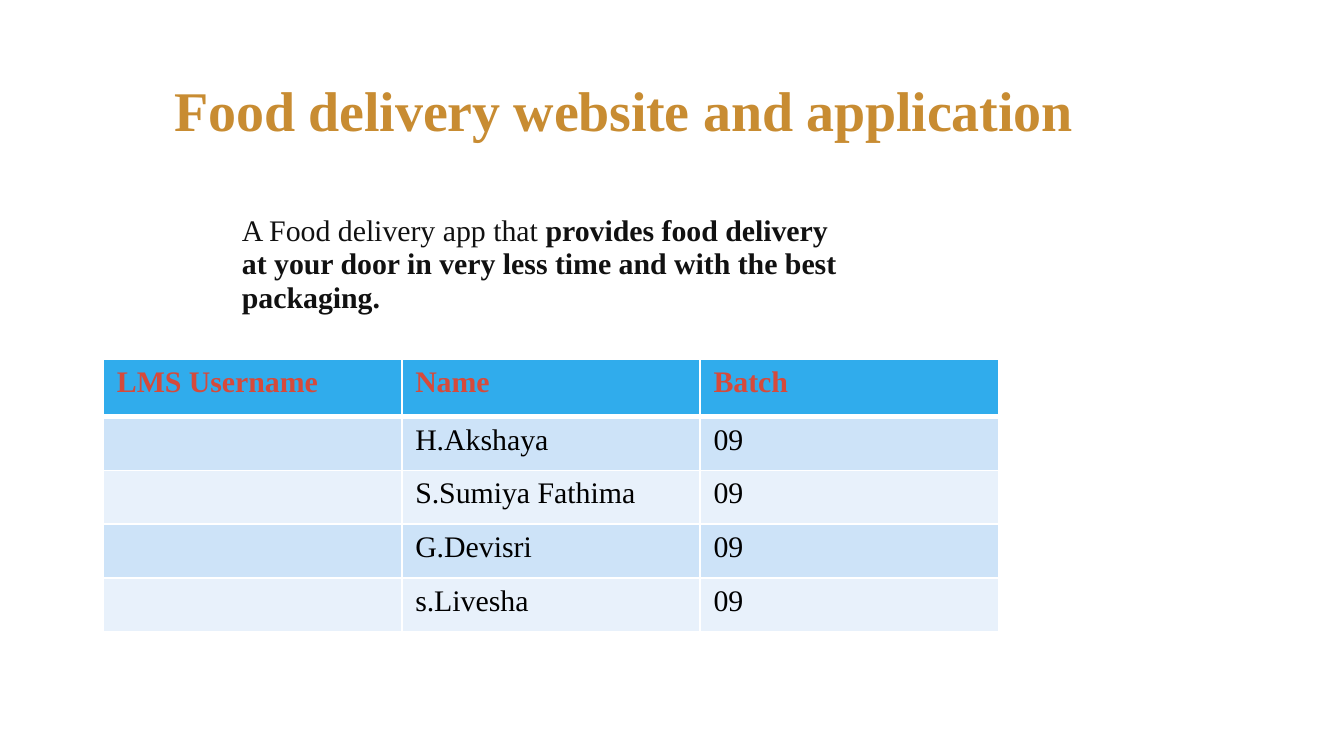
from lxml.etree import SubElement
from pptx import Presentation
from pptx.dml.color import RGBColor
from pptx.oxml.ns import qn
from pptx.util import Inches, Pt

FONT = "Times New Roman"
GOLD, INK, RED, BLACK, WHITE = "C88C32", "111111", "D64A3B", "000000", "FFFFFF"
HEADER_FILL = "30ACEC"
BAND_FILLS = ("CDE3F8", "E8F1FB")


def color(value):
    return RGBColor.from_string(value)


def add_span(para, text, size=16, ink=BLACK, bold=False, tracking=None):
    """Append a formatted run; tracking is in hundredths of a point."""
    span = para.add_run()
    span.text = text
    span.font.name = FONT
    span.font.size = Pt(size)
    span.font.bold = bold
    span.font.color.rgb = color(ink)
    if tracking is not None:
        span.font._element.set("spc", str(tracking))


def add_border(cell, side, width):
    line = SubElement(cell._tc.get_or_add_tcPr(), qn(f"a:ln{side}"), w=str(Pt(width)))
    fill = SubElement(line, qn("a:solidFill"))
    SubElement(fill, qn("a:srgbClr"), val=WHITE)


class SlideBuilder:
    def __init__(self, deck):
        self.slide = deck.slides.add_slide(deck.slide_layouts[6])

    def text(self, left, top, width, height, spans, line_spacing, indent=0):
        """Place one paragraph; spans are pairs of text and format."""
        box = self.slide.shapes.add_textbox(
            Inches(left), Inches(top), Inches(width), Inches(height))
        frame = box.text_frame
        frame.word_wrap = True
        frame.margin_left = frame.margin_right = 0
        frame.margin_top = frame.margin_bottom = 0
        para = frame.paragraphs[0]
        para.line_spacing = Pt(line_spacing)
        if indent:
            para._p.get_or_add_pPr().set("marL", str(Inches(indent)))
        for text, style in spans:
            add_span(para, text, **style)

    def table(self, left, top, column_width, header_height, row_height, rows):
        count = len(rows[0])
        height = header_height + row_height * (len(rows) - 1)
        table = self.slide.shapes.add_table(
            len(rows), count, Inches(left), Inches(top),
            Inches(column_width * count), Inches(height)).table
        for column in table.columns:
            column.width = Inches(column_width)
        for row_index, row in enumerate(rows):
            table.rows[row_index].height = Inches(
                row_height if row_index else header_height)
            for column_index, text in enumerate(row):
                self.cell(table.cell(row_index, column_index), text, row_index)

    def cell(self, cell, text, row_index):
        header = row_index == 0
        for side in "LRTB":
            thick = (header and side == "B") or (row_index == 1 and side == "T")
            add_border(cell, side, 3 if thick else 1)
        cell.fill.solid()
        cell.fill.fore_color.rgb = color(
            HEADER_FILL if header else BAND_FILLS[(row_index - 1) % 2])
        if text:
            add_span(cell.text_frame.paragraphs[0], text,
                     ink=RED if header else BLACK, bold=header)


def main():
    deck = Presentation()
    deck.slide_width, deck.slide_height = Inches(10), Inches(10 * 9 / 16)
    page = SlideBuilder(deck)
    page.text(1.3, 0.73, 7.18, 0.35, [
        ("Food delivery website and application",
         dict(size=30, ink=GOLD, bold=True, tracking=-10)),
    ], line_spacing=23.9)
    page.text(1.3, 1.59, 4.99, 0.76, [
        ("A Food delivery app that", dict(ink=INK)),
        (" provides food delivery at your door in very less time "
         "and with the best packaging. ", dict(ink=INK, bold=True)),
    ], line_spacing=18, indent=0.5)
    members = ("H.Akshaya", "S.Sumiya Fathima", "G.Devisri", "s.Livesha")
    page.table(0.77, 2.67, 2.22, 0.43, 0.4, [
        ("LMS Username", "Name", "Batch"),
        *(("", name, "09") for name in members),
    ])
    deck.save("out.pptx")


if __name__ == "__main__":
    main()
